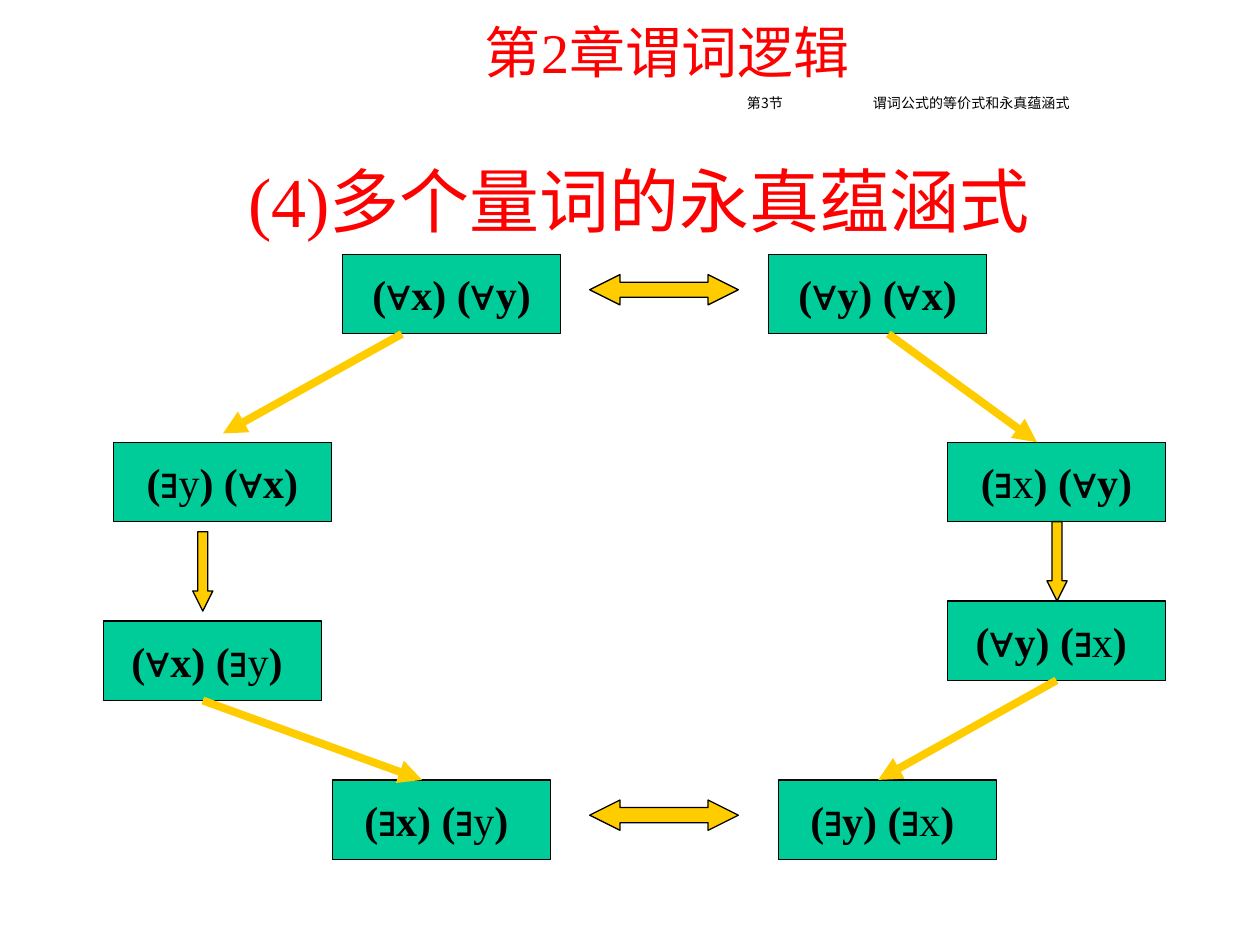
from lxml.etree import SubElement
from pptx import Presentation
from pptx.dml.color import RGBColor
from pptx.enum.shapes import MSO_CONNECTOR, MSO_SHAPE
from pptx.enum.text import MSO_ANCHOR, PP_ALIGN
from pptx.oxml.ns import qn
from pptx.util import Inches, Pt

CJK_FONT = "Noto Sans CJK SC"
BOX_WIDTH, BOX_HEIGHT = 1.73, 0.63


def color(hex_string):
    return RGBColor.from_string(hex_string)


def add_run(paragraph, text, size, font, hex_color, bold=False, east_asian=None):
    """Append a run whose East Asian font defaults to its Latin font."""
    run = paragraph.add_run()
    run.text = text
    run.font.size = Pt(size)
    run.font.name = font
    run.font.bold = bold
    run.font.color.rgb = color(hex_color)
    SubElement(run.font._element, qn("a:ea"), typeface=east_asian or font)


presentation = Presentation()
presentation.slide_width = Inches(10)
presentation.slide_height = Inches(7.5)
slide = presentation.slides.add_slide(presentation.slide_layouts[6])

# Headings: position, text, size, font, colour, anchor, line spacing
headings = [
    ((3.17, 0.09, 4.25, 0.64), "第2章谓词逻辑", 32, "Times New Roman", "FF0000", MSO_ANCHOR.TOP, 1.0),
    ((0.75, 1.17, 8.5, 0.83), " (4)多个量词的永真蕴涵式", 40, "Times New Roman", "FF0000", MSO_ANCHOR.MIDDLE, 1.0),
    ((4.5, 0.71, 5.42, 0.24), "第3节\t谓词公式的等价式和永真蕴涵式", 8, CJK_FONT, "000000", MSO_ANCHOR.MIDDLE, 0.8),
]
for position, text, size, font, hex_color, anchor, spacing in headings:
    text_box = slide.shapes.add_textbox(*map(Inches, position))
    text_frame = text_box.text_frame
    text_frame.word_wrap = True
    text_frame.vertical_anchor = anchor
    paragraph = text_frame.paragraphs[0]
    paragraph.alignment = PP_ALIGN.CENTER
    paragraph.line_spacing = spacing
    if "\t" in text:
        tab_list = SubElement(paragraph._p.get_or_add_pPr(), qn("a:tabLst"))
        SubElement(tab_list, qn("a:tab"), pos=str(Inches(1)), algn="l")
    add_run(paragraph, text, size, font, hex_color, east_asian=CJK_FONT)

# Quantifier boxes: left, top, label with runs separated by "|"
quantifier_boxes = {
    "top left": (2.72, 2.02, "(|∀|x) (|∀|y)"),
    "top right": (6.1, 2.02, "(|∀|y) (|∀|x)"),
    "upper right": (7.52, 3.51, "(|∃|x|) (|∀|y)"),
    "lower right": (7.52, 4.77, "(|∀|y) (|∃|x|) "),
    "bottom right": (6.18, 6.19, "(|∃|y) (|∃|x|) "),
    "bottom left": (2.64, 6.19, "(|∃|x) (|∃|y|) "),
    "upper left": (0.9, 3.51, "(|∃|y|) (|∀|x)"),
    "lower left": (0.82, 4.93, "(|∀|x) (|∃|y|) "),
}
boxes = {}
for name, (left, top, label) in quantifier_boxes.items():
    box = slide.shapes.add_shape(
        MSO_SHAPE.RECTANGLE, Inches(left), Inches(top), Inches(BOX_WIDTH), Inches(BOX_HEIGHT)
    )
    box.shadow.inherit = False
    box.fill.solid()
    box.fill.fore_color.rgb = color("00CC99")
    box.line.color.rgb = color("000000")
    box.line.width = Pt(0.75)
    box.text_frame.word_wrap = False
    box.text_frame.vertical_anchor = MSO_ANCHOR.MIDDLE
    paragraph = box.text_frame.paragraphs[0]
    paragraph.alignment = PP_ALIGN.CENTER
    for part in label.split("|"):
        font = "Arial" if part in ("∀", "∃") else "Times New Roman"
        add_run(paragraph, part, 24, font, "000000", bold=part not in ("x", "y"))
    boxes[name] = box

# Block arrows: equivalences run across, implications run down
block_arrows = [
    (MSO_SHAPE.LEFT_RIGHT_ARROW, 4.68, 2.18, 1.18, 0.24),
    (MSO_SHAPE.LEFT_RIGHT_ARROW, 4.68, 6.35, 1.18, 0.24),
    (MSO_SHAPE.DOWN_ARROW, 8.31, 4.14, 0.16, 0.63),
    (MSO_SHAPE.DOWN_ARROW, 1.53, 4.22, 0.16, 0.63),
]
for arrow_type, *position in block_arrows:
    arrow = slide.shapes.add_shape(arrow_type, *map(Inches, position))
    arrow.shadow.inherit = False
    arrow.adjustments[0] = 0.5
    arrow.adjustments[1] = 1
    arrow.fill.solid()
    arrow.fill.fore_color.rgb = color("FFCC00")
    arrow.line.color.rgb = color("000000")
    arrow.line.width = Pt(0.75)

# Diagonal implication arrows: start, end, box whose bottom middle is the start
diagonals = [
    ((7.05, 2.65), (8.23, 3.51), None),
    ((8.39, 5.4), (6.97, 6.19), "lower right"),
    ((3.19, 2.65), (1.77, 3.44), None),
    ((1.61, 5.56), (3.35, 6.19), None),
]
for start, end, start_box in diagonals:
    connector = slide.shapes.add_connector(MSO_CONNECTOR.STRAIGHT, *map(Inches, start + end))
    if start_box:
        connector.begin_connect(boxes[start_box], 2)
    connector.line.color.rgb = color("FFCC00")
    connector.line.width = Pt(4.5)
    SubElement(connector.line._get_or_add_ln(), qn("a:tailEnd"), type="triangle")
    SubElement(connector._element.spPr, qn("a:effectLst"))

presentation.save("out.pptx")
